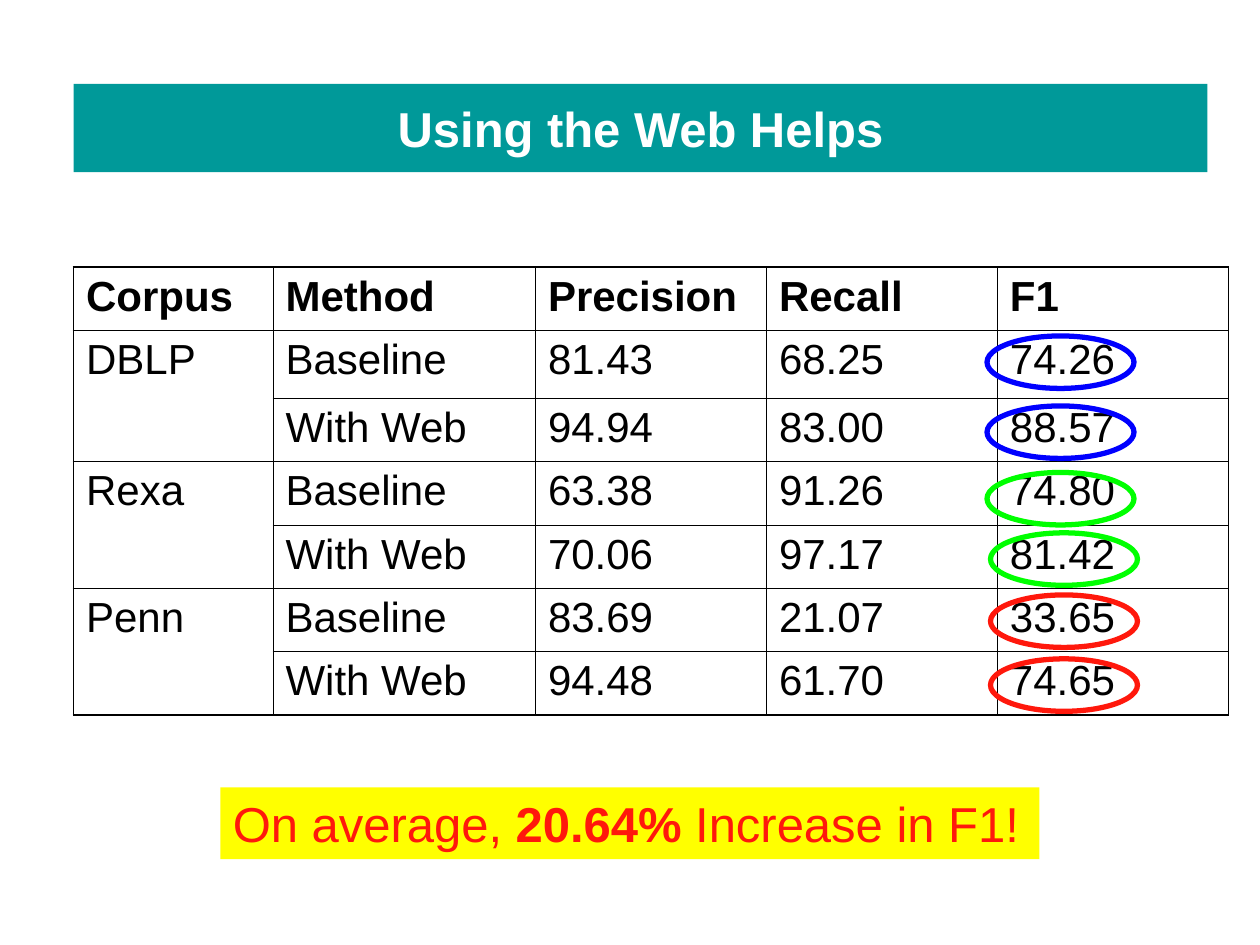
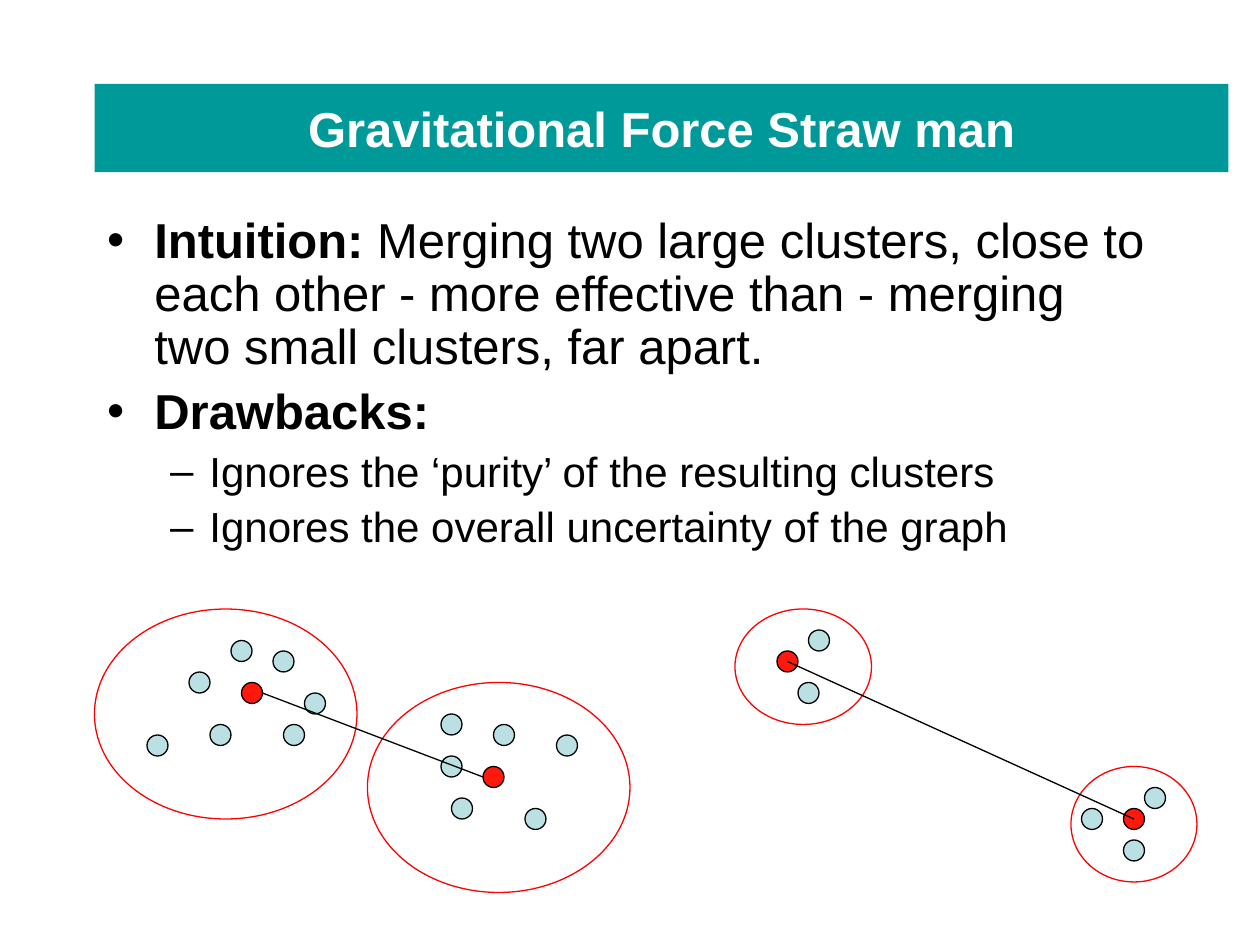
"""Build two slides: a table of web results and a sketch of cluster merging."""
from lxml import etree
from pptx import Presentation
from pptx.dml.color import RGBColor
from pptx.enum import shapes, text
from pptx.oxml import ns
from pptx.util import Pt

HUE = {
    "teal": "009999", "white": "FFFFFF", "black": "000000", "yellow": "FFFF00",
    "red": "FF180C", "blue": "0000FF", "green": "00FF00", "pale": "BBE0E3",
    "rim": "FF0000",
}
FONT = "Arial"

HEAD = ["Corpus", "Method", "Precision", "Recall", "F1"]
SCORES = {
    "DBLP": [("Baseline", "81.43", "68.25", "74.26"),
             ("With Web", "94.94", "83.00", "88.57")],
    "Rexa": [("Baseline", "63.38", "91.26", "74.80"),
             ("With Web", "70.06", "97.17", "81.42")],
    "Penn": [("Baseline", "83.69", "21.07", "33.65"),
             ("With Web", "94.48", "61.70", "74.65")],
}
WIDTHS = [114, 150, 132, 132, 132]
HEIGHTS = [36.2, 36.2, 38.8] + [36.2] * 4
HEIGHTS[1:3] = [38.8, 36.2]
MARKS = [
    (564, 192, "blue"), (564, 232, "blue"), (564, 270, "green"),
    (566, 304.5, "green"), (566, 340, "red"), (566, 376.5, "red"),
]
CLAIM = "On average, *20.64%* Increase in F1!"

POINTS = [
    (0, "*Intuition:* Merging two large clusters, close to each other"
        " - more effective than - merging two small clusters, far apart."),
    (0, "*Drawbacks:*"),
    (1, "Ignores the ‘purity’ of the resulting clusters"),
    (1, "Ignores the overall uncertainty of the graph"),
]
LEVELS = [{"size": 28, "before": 7}, {"size": 24, "before": 6}]
DOT = 12
GROUPS = [
    {"ring": (54, 348, 150, 120), "core": (138, 390),
     "dots": [(156, 372), (132, 366), (108, 384), (174, 396),
              (120, 414), (84, 420), (162, 414)]},
    {"ring": (210, 390, 150, 120), "core": (276, 438),
     "dots": [(258, 456), (252, 408), (300, 462), (318, 420),
              (252, 432), (282, 414)]},
    {"ring": (420, 348, 78, 66), "core": (444, 372),
     "dots": [(456, 390), (462, 360)]},
    {"ring": (612, 438, 72, 66), "core": (642, 462),
     "dots": [(654, 450), (642, 480), (618, 462)]},
]
LINKS = [((150, 396), (276, 444)), ((450, 378), (648, 468))]


def tint(name):
    return RGBColor.from_string(HUE[name])


def write(para, words, size=24, color="black", align=None, before=0, line=None):
    para.alignment = align
    para.space_before = Pt(before)
    para.line_spacing = line
    for i, part in enumerate(words.split("*")):
        if part:
            run = para.add_run()
            run.text = part
            font = run.font
            font.name, font.size, font.bold = FONT, Pt(size), i % 2 == 1
            font.color.rgb = tint(color)


def place(shape, box):
    shape.left, shape.top, shape.width, shape.height = map(Pt, box)


def paint(shape, name):
    shape.fill.solid()
    shape.fill.fore_color.rgb = tint(name)


def start(deck, layout, title, left):
    slide = deck.slides.add_slide(deck.slide_layouts[layout])
    band = slide.shapes.title
    place(band, (left, 48, 648, 50.4))
    paint(band, "teal")
    frame = band.text_frame
    frame.auto_size = text.MSO_AUTO_SIZE.NONE
    frame.vertical_anchor = text.MSO_ANCHOR.MIDDLE
    write(frame.paragraphs[0], f"*{title}*", size=28, color="white",
          align=text.PP_ALIGN.CENTER)
    return slide


def oval(slide, box, line, width=0.75, fill=None):
    shape = slide.shapes.add_shape(shapes.MSO_SHAPE.OVAL, *map(Pt, box))
    shape.shadow.inherit = False
    if fill:
        paint(shape, fill)
    else:
        shape.fill.background()
    shape.line.color.rgb = tint(line)
    shape.line.width = Pt(width)


def edge(cell, side, width):
    line = etree.SubElement(cell._tc.get_or_add_tcPr(), ns.qn("a:ln" + side),
                            w=str(Pt(width)))
    fill = etree.SubElement(line, ns.qn("a:solidFill"))
    etree.SubElement(fill, ns.qn("a:srgbClr"), val=HUE["black"])


def grid(slide):
    rows = [[f"*{name}*" for name in HEAD]]
    for corpus, pair in SCORES.items():
        rows += [[corpus if i == 0 else "", *vals] for i, vals in enumerate(pair)]
    deep, wide = len(rows), len(HEAD)
    table = slide.shapes.add_table(deep, wide, Pt(42), Pt(152.6),
                                   Pt(sum(WIDTHS)), Pt(sum(HEIGHTS))).table
    table.first_row = table.horz_banding = False
    for col, width in zip(table.columns, WIDTHS):
        col.width = Pt(width)
    for row, height in zip(table.rows, HEIGHTS):
        row.height = Pt(height)
    for r in range(1, deep, 2):
        table.cell(r, 0).merge(table.cell(r + 1, 0))
    for r, row in enumerate(rows):
        for c, words in enumerate(row):
            cell = table.cell(r, c)
            if cell.is_spanned:
                cell.fill.background()
                continue
            span = cell.span_height if cell.is_merge_origin else 1
            outer = {"L": c == 0, "R": c == wide - 1,
                     "T": r == 0, "B": r + span == deep}
            for side, rim in outer.items():
                edge(cell, side, 1.08 if rim else 0.45)
            cell.fill.background()
            write(cell.text_frame.paragraphs[0], words)


def results(deck):
    slide = start(deck, 5, "Using the Web Helps", 42)
    grid(slide)
    note = slide.shapes.add_textbox(Pt(126), Pt(450), Pt(468), Pt(41))
    paint(note, "yellow")
    note.text_frame.word_wrap = True
    write(note.text_frame.paragraphs[0], CLAIM, size=28, color="red")
    for left, top, color in MARKS:
        oval(slide, (left, top, 84, 30), color, width=3)


def gravity(deck):
    slide = start(deck, 1, "Gravitational Force Straw man", 54)
    body = slide.placeholders[1]
    place(body, (54, 120, 612, 258))
    frame = body.text_frame
    frame.auto_size = text.MSO_AUTO_SIZE.NONE
    for i, (level, words) in enumerate(POINTS):
        para = frame.add_paragraph() if i else frame.paragraphs[0]
        para.level = level
        form = LEVELS[level] if i else {**LEVELS[level], "before": 0}
        write(para, words, line=0.9, **form)
    for group in GROUPS:
        oval(slide, group["ring"], "rim")
        for spot in group["dots"]:
            oval(slide, (*spot, DOT, DOT), "black", fill="pale")
        oval(slide, (*group["core"], DOT, DOT), "black", fill="red")
    for head, tail in LINKS:
        link = slide.shapes.add_connector(shapes.MSO_CONNECTOR.STRAIGHT,
                                          *map(Pt, head + tail))
        link.line.color.rgb = tint("black")
        link.line.width = Pt(0.75)
        etree.SubElement(link._element.spPr, ns.qn("a:effectLst"))


def main():
    deck = Presentation()
    deck.slide_width, deck.slide_height = Pt(720), Pt(540)
    results(deck)
    gravity(deck)
    deck.save("out.pptx")


if __name__ == "__main__":
    main()
